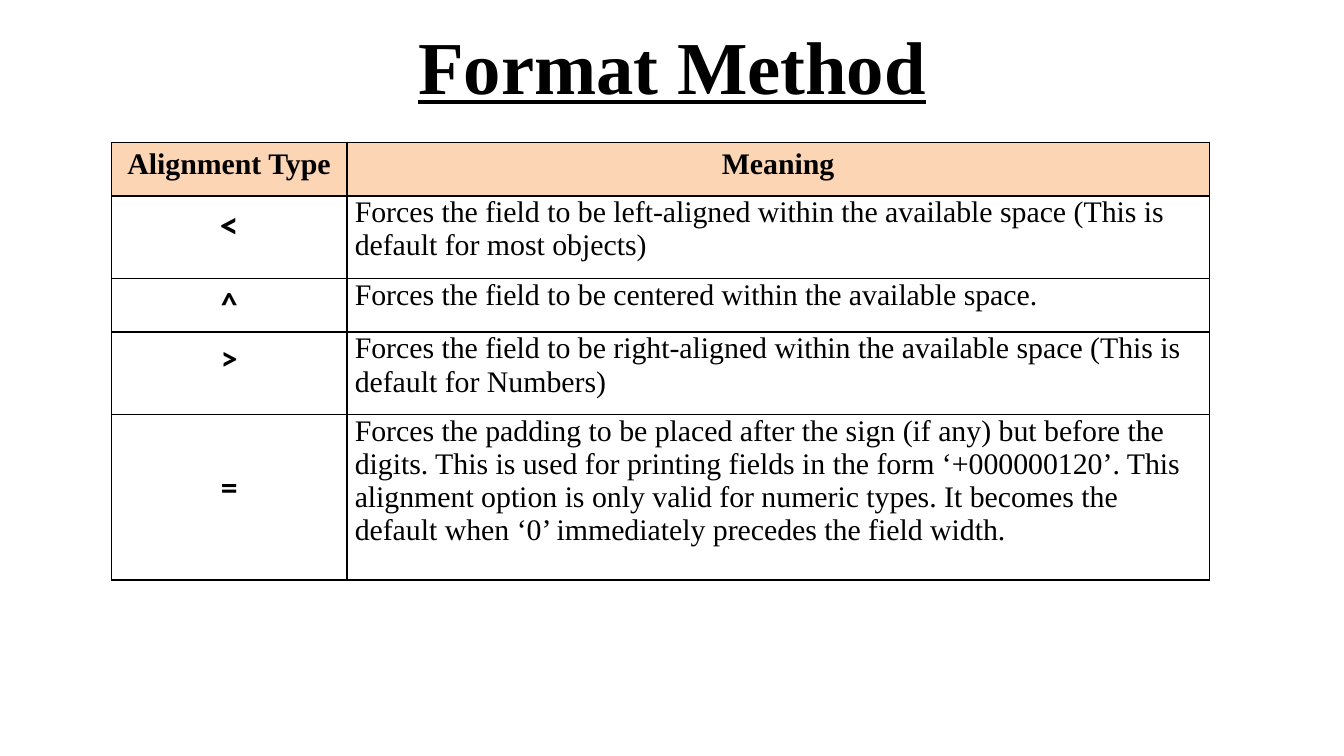
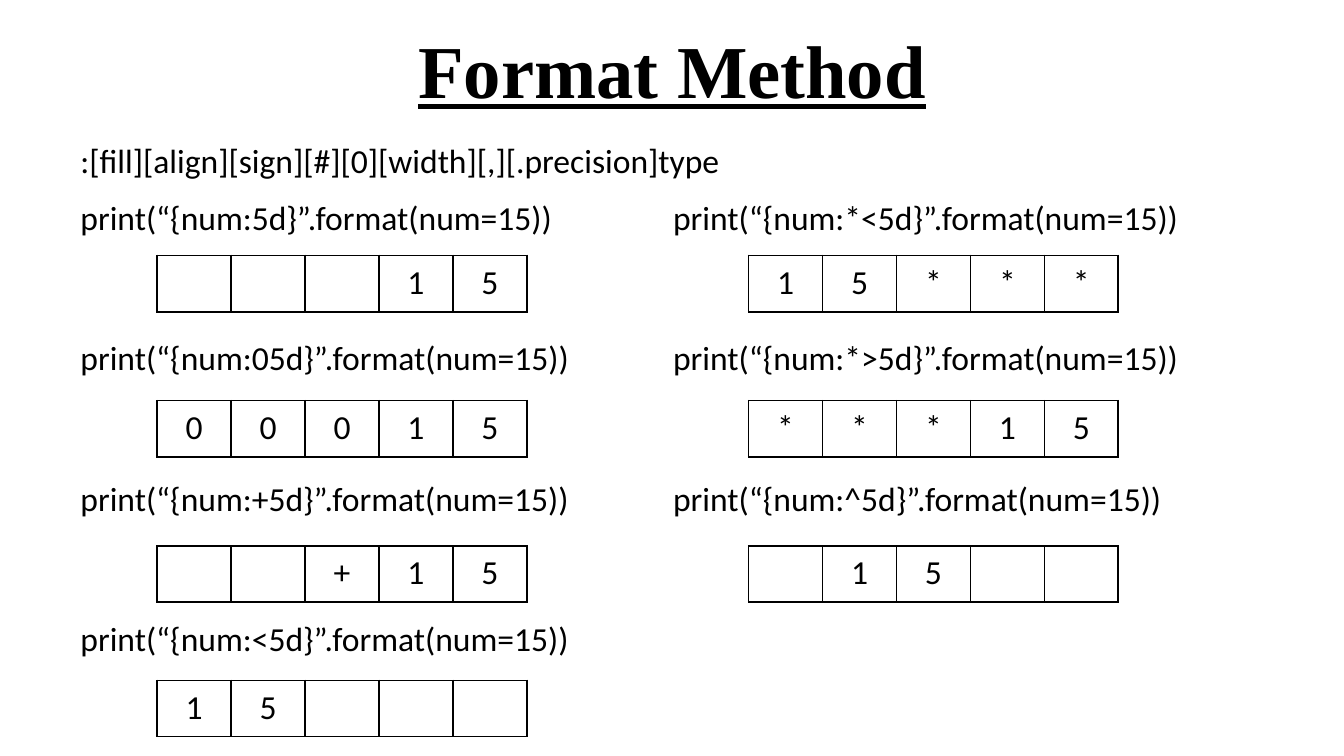
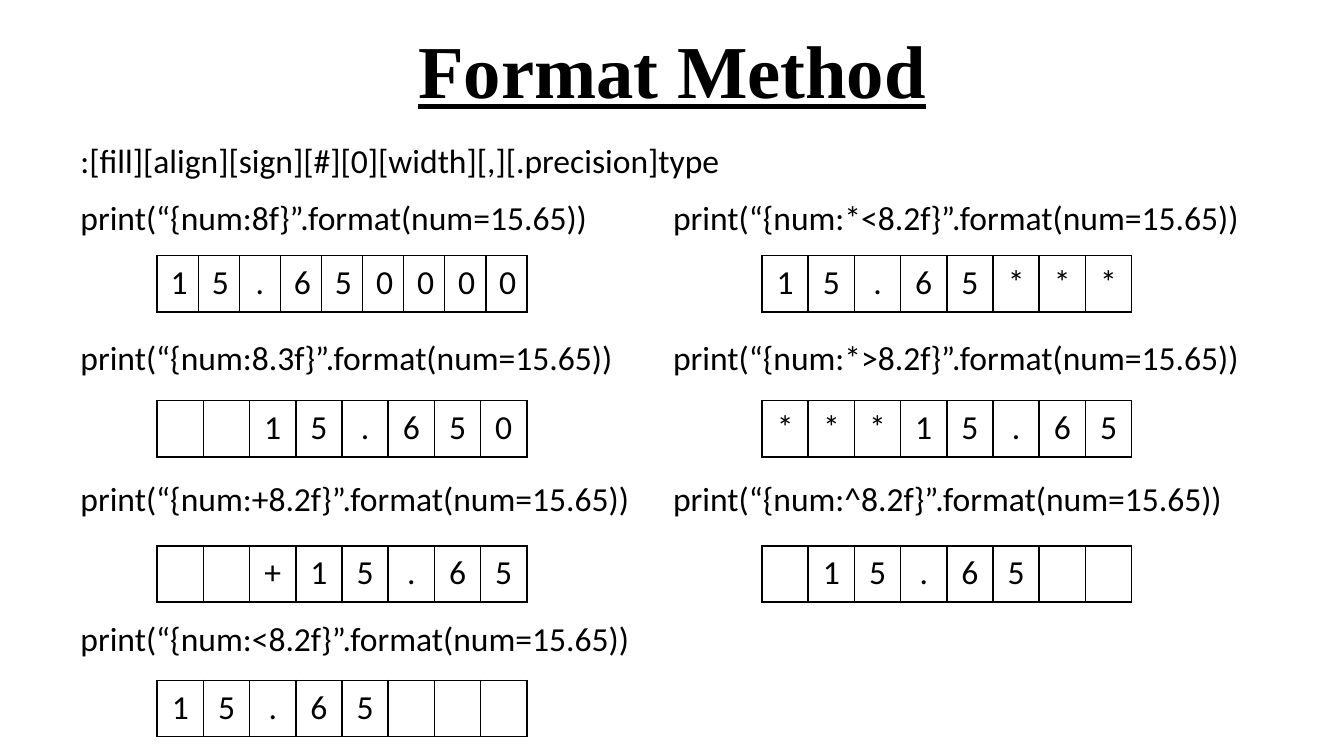
"""Build three slides on the alignment options of the format method."""
import lxml.etree
import pptx
import pptx.dml.color
import pptx.enum.text
import pptx.oxml.ns
import pptx.util

INK, PEACH = "000000", "FCD5B5"
SERIF, SANS = "Times New Roman", "Calibri"
ALIGN = pptx.enum.text.PP_ALIGN
LEFT, MID = ALIGN.LEFT, ALIGN.CENTER

deck = pptx.Presentation()
deck.slide_width = pptx.util.Inches(10)
deck.slide_height = deck.slide_width * 9 // 16
col, row = deck.slide_width / 100, deck.slide_height / 100


def write(para, text, size, face=SANS, bold=False, align=LEFT):
    """Fill a paragraph with text in one font."""
    para.text = text
    para.alignment = align
    font = para.font
    font.size, font.name, font.bold = pptx.util.Pt(size), face, bold
    font.color.rgb = pptx.dml.color.RGBColor.from_string(INK)


def lay(slide, left, top, cols, rows):
    """Add a plain table ruled in black, sized in grid units."""
    table = slide.shapes.add_table(
        len(rows), len(cols), int(left * col), int(top * row),
        int(sum(cols) * col), int(sum(rows) * row)).table
    table.first_row = table.horz_banding = False
    for part, span in zip(table.columns, cols):
        part.width = int(span * col)
    for part, span in zip(table.rows, rows):
        part.height = int(span * row)
    qn = pptx.oxml.ns.qn
    for cell in table.iter_cells():
        cell.fill.background()
        props = cell._tc.get_or_add_tcPr()
        for spot, side in enumerate(("lnL", "lnR", "lnT", "lnB")):
            line = lxml.etree.Element(qn("a:" + side), w=str(pptx.util.Pt(1)))
            fill = lxml.etree.SubElement(line, qn("a:solidFill"))
            lxml.etree.SubElement(fill, qn("a:srgbClr"), val=INK)
            props.insert(spot, line)
    return table


slides = []
for top, high in ((1.1, 14.8), (0.7, 16.7), (0.7, 16.7)):
    slide = deck.slides.add_slide(deck.slide_layouts[5])
    title = slide.shapes.title
    title.left, title.top = int(5 * col), int(top * row)
    title.width, title.height = int(90 * col), int(high * row)
    title.text_frame.vertical_anchor = pptx.enum.text.MSO_ANCHOR.MIDDLE
    para = title.text_frame.paragraphs[0]
    write(para, "Format Method", 40, SERIF, True, MID)
    para.font.underline = True
    slides.append(slide)

rules = (
    ("<", 20, "Forces the field to be left-aligned within the available space "
     "(This is default for most objects)"),
    ("^", 18, "Forces the field to be centered within the available space."),
    (">", 18, "Forces the field to be right-aligned within the available space "
     "(This is default for Numbers)"),
    ("=", 18, "Forces the padding to be placed after the sign (if any) but before "
     "the digits. This is used for printing fields in the form ‘+000000120’. "
     "This alignment option is only valid for numeric types. It becomes the "
     "default when ‘0’ immediately precedes the field width."),
)
table = lay(slides[0], 8.3, 18.85, (17.5, 64.2), (7.1, 10.9, 7.1, 10.9, 21.9))
for cell in table.iter_cells():
    cell.margin_left = cell.margin_right = int(0.6 * col)
    cell.margin_top = cell.margin_bottom = 0
for spot, head in enumerate(("Alignment Type", "Meaning")):
    cell = table.cell(0, spot)
    cell.fill.solid()
    cell.fill.fore_color.rgb = pptx.dml.color.RGBColor.from_string(PEACH)
    para = cell.text_frame.paragraphs[0]
    write(para, head, 16, SERIF, True, MID)
    para.line_spacing = 1.15
for spot, (sign, size, note) in enumerate(rules, 1):
    para = table.cell(spot, 0).text_frame.paragraphs[0]
    write(para, sign, size, SANS, True, MID)
    para.line_spacing = 1.15
    write(table.cell(spot, 1).text_frame.paragraphs[0], note, 16, SERIF)
table.cell(4, 0).margin_top = int(6.2 * row)

demos = (
    (15, 55.7, (("5d", "05d", "+5d", "<5d"), ("*<5d", "*>5d", "^5d"))),
    (15.65, 56.7, (("8f", "8.3f", "+8.2f", "<8.2f"),
                   ("*<8.2f", "*>8.2f", "^8.2f"))),
)
tops = (33.8, 53, 72.2, 90)
for slide, (num, right, sets) in zip(slides[1:], demos):
    box = slide.shapes.add_textbox(
        int(5 * col), int(17.6 * row), int(50.1 * col), int(7.1 * row))
    box.text_frame.word_wrap = False
    box.text_frame.auto_size = pptx.enum.text.MSO_AUTO_SIZE.SHAPE_TO_FIT_TEXT
    write(box.text_frame.paragraphs[0],
          ":[fill][align][sign][#][0][width][,][.precision]type", 18)
    sides = ((5, 44.1, 11.7), (49.1, 50.1, right))
    for (left, wide, edge), codes in zip(sides, sets):
        box = slide.shapes.add_textbox(
            int(left * col), int(18.85 * row), int(wide * col), int(80 * row))
        frame = box.text_frame
        frame.word_wrap = True
        frame.margin_top = int(7.2 * row)
        for spot, code in enumerate(codes):
            para = frame.add_paragraph() if spot else frame.paragraphs[0]
            write(para, f"print(“{{num:{code}}}”.format(num={num}))", 18)
            if spot:
                para.space_before = pptx.util.Pt(53.6)
            marks = format(num, code)
            strip = lay(slide, edge, tops[spot],
                        [27.5 / len(marks)] * len(marks), [7.45])
            for cell, mark in zip(strip.iter_cells(), marks):
                write(cell.text_frame.paragraphs[0], mark.strip(), 18, align=MID)

deck.save("out.pptx")
